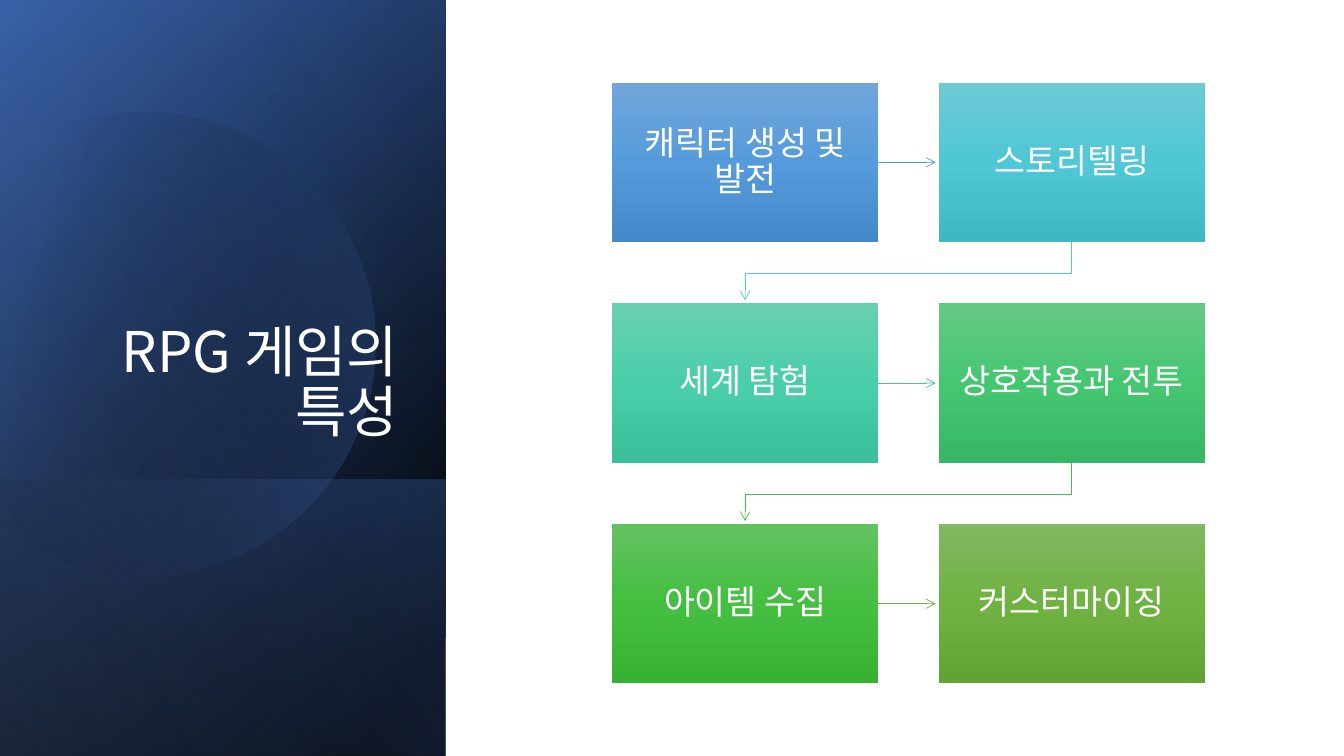
from math import acos, cos, pi, radians, sin

from lxml.etree import SubElement
from pptx import Presentation
from pptx.dml.color import RGBColor
from pptx.enum.shapes import MSO_CONNECTOR as Connector, MSO_SHAPE as Shape
from pptx.enum.text import MSO_ANCHOR as Anchor, PP_ALIGN as Align
from pptx.oxml import parse_xml
from pptx.oxml.ns import nsdecls, qn
from pptx.util import Inches, Pt

FONT = "Noto Sans CJK KR"
WHITE = RGBColor(0xFF, 0xFF, 0xFF)
BLACK = RGBColor(0x00, 0x00, 0x00)
NAVY = RGBColor(0x2F, 0x55, 0x97)
BLUE = RGBColor(0x44, 0x72, 0xC4)
PALE_BLUE = RGBColor(0x8F, 0xAA, 0xDC)

CARDS = [
    ("캐릭터 생성 및 발전", RGBColor(0x71, 0xA6, 0xDB), RGBColor(0x55, 0x9B, 0xDB), RGBColor(0x44, 0x8A, 0xCA)),
    ("스토리텔링", RGBColor(0x6D, 0xCA, 0xD5), RGBColor(0x4F, 0xC7, 0xD5), RGBColor(0x3F, 0xB7, 0xC4)),
    ("세계 탐험", RGBColor(0x69, 0xCF, 0xB1), RGBColor(0x4A, 0xCE, 0xAA), RGBColor(0x3B, 0xBE, 0x9A)),
    ("상호작용과 전투", RGBColor(0x66, 0xC8, 0x85), RGBColor(0x45, 0xC7, 0x72), RGBColor(0x37, 0xB7, 0x64)),
    ("아이템 수집", RGBColor(0x64, 0xC1, 0x62), RGBColor(0x44, 0xBF, 0x41), RGBColor(0x37, 0xB0, 0x34)),
    ("커스터마이징", RGBColor(0x81, 0xB8, 0x61), RGBColor(0x6F, 0xB2, 0x42), RGBColor(0x62, 0xA3, 0x36)),
]
ARROWS = [
    RGBColor(0x5B, 0x9B, 0xD5),
    RGBColor(0x54, 0xCC, 0xCD),
    RGBColor(0x4D, 0xC5, 0x8D),
    RGBColor(0x48, 0xBB, 0x4F),
    RGBColor(0x70, 0xAD, 0x47),
]


def paint_gradient(shape, stops, angle):
    shape.shadow.inherit = False
    shape.line.fill.background()
    shape.fill.background()
    marks = "".join(
        f'<a:gs pos="{place * 1000}"><a:srgbClr val="{color}">'
        f'<a:alpha val="{alpha * 1000}"/></a:srgbClr></a:gs>'
        for place, color, alpha in stops
    )
    gradient = parse_xml(
        f'<a:gradFill {nsdecls("a")} rotWithShape="1"><a:gsLst>{marks}</a:gsLst>'
        f'<a:lin ang="{angle * 60000}" scaled="0"/></a:gradFill>'
    )
    properties = shape.element.spPr
    properties.replace(properties.find(qn("a:noFill")), gradient)


def write_text(shape, text, size, align, anchor):
    frame = shape.text_frame
    frame.word_wrap = True
    frame.vertical_anchor = anchor
    para = frame.paragraphs[0]
    para.text = text
    para.alignment = align
    para.line_spacing = 0.9
    para.font.size = Pt(size)
    para.font.name = FONT
    para.font.color.rgb = WHITE
    for defaults in shape.element.iter(qn("a:defRPr")):
        SubElement(defaults, qn("a:ea"), typeface=FONT)


def add_layer(page, left, top, width, height, stops, angle):
    long_side, short_side = height, width
    layer = page.shapes.add_shape(
        Shape.RECTANGLE,
        Inches(left + (width - long_side) / 2),
        Inches(top + (height - short_side) / 2),
        Inches(long_side),
        Inches(short_side),
    )
    layer.rotation = 90
    layer.element.spPr.find(qn("a:xfrm")).set("flipH", "1")
    paint_gradient(layer, stops, angle)


def add_disc(page, left, top, radius, cut, tilt):
    half = pi - acos(cut / radius)
    steps = 120
    angles = [-half + 2 * half * step / steps + radians(tilt) for step in range(steps + 1)]
    points = [(Inches(5 + radius * cos(a)), Inches(5 + radius * sin(a))) for a in angles]
    builder = page.shapes.build_freeform(*points[0])
    builder.add_line_segments(points[1:], close=True)
    disc = builder.convert_to_shape()
    disc.left, disc.top = Inches(left), Inches(top)
    disc.rotation = 360 - tilt
    paint_gradient(disc, [(29, BLACK, 0), (100, BLUE, 43)], 30)


def add_title_panel(page, left, top, width, height):
    foot = 2.74
    add_layer(page, left, top, width, height, [(8, BLACK, 100), (100, NAVY, 100)], 50)
    add_layer(page, left, top, width, height, [(0, BLACK, 0), (99, BLUE, 46)], 30)
    add_layer(page, left, top + height - foot, width, foot, [(2, BLUE, 29), (100, BLACK, 30)], 130)
    add_disc(page, left - 0.55, top + 1.06, 2.3, 1.56, 16.1)
    add_layer(page, left, top, width, height, [(0, BLACK, 0), (99, PALE_BLUE, 11)], 120)
    title = page.shapes.add_textbox(Inches(left + 0.64), Inches(top + 1.84), Inches(3.41), Inches(2.62))
    write_text(title, "RPG 게임의 특성", 40, Align.RIGHT, Anchor.BOTTOM)


def style_arrow(arrow, color):
    arrow.line.color.rgb = color
    arrow.line.width = Pt(0.5)
    properties = arrow.element.spPr
    SubElement(properties.find(qn("a:ln")), qn("a:tailEnd"), type="arrow")
    SubElement(properties, qn("a:effectLst"))


def add_step_arrow(page, start, end, color):
    arrow = page.shapes.add_connector(Connector.STRAIGHT, *map(Inches, start + end))
    style_arrow(arrow, color)


def add_return_arrow(page, start, end, color):
    bend = start[1] + 0.31
    points = [(Inches(x), Inches(y)) for x, y in (start, (start[0], bend), (end[0], bend), end)]
    builder = page.shapes.build_freeform(*points[0])
    builder.add_line_segments(points[1:], close=False)
    arrow = builder.convert_to_shape()
    arrow.fill.background()
    style_arrow(arrow, color)


def add_card(page, left, top, width, height, text, colors):
    card = page.shapes.add_shape(Shape.RECTANGLE, Inches(left), Inches(top), Inches(width), Inches(height))
    paint_gradient(card, [(place, color, 100) for place, color in zip((0, 50, 100), colors)], 90)
    frame = card.text_frame
    frame.margin_left = frame.margin_right = Inches(0.13)
    frame.margin_top = frame.margin_bottom = Inches(0.14)
    write_text(card, text, 24, Align.CENTER, Anchor.MIDDLE)


def add_feature_flow(page, left, top, width, height):
    card_width, card_height = 2.64, 1.58
    column_step = width - card_width
    row_step = (height - card_height) / 2
    tip_gap = 0.03
    for index, (text, *colors) in enumerate(CARDS):
        row, column = divmod(index, 2)
        x, y = left + column * column_step, top + row * row_step
        if index < len(ARROWS):
            if column == 0:
                middle = y + card_height / 2
                add_step_arrow(page, (x + card_width, middle), (x + column_step - tip_gap, middle), ARROWS[index])
            else:
                center = x + card_width / 2
                end = (center - column_step, y + row_step - tip_gap)
                add_return_arrow(page, (center, y + card_height), end, ARROWS[index])
        add_card(page, x, y, card_width, card_height, text, colors)


def main():
    deck = Presentation()
    deck.slide_width, deck.slide_height = Inches(13.33), Inches(7.5)
    page = deck.slides.add_slide(deck.slide_layouts[6])
    add_title_panel(page, 0, 0, 4.42, 7.5)
    add_feature_flow(page, 6.07, 0.82, 5.88, 5.96)
    deck.save("out.pptx")


if __name__ == "__main__":
    main()
